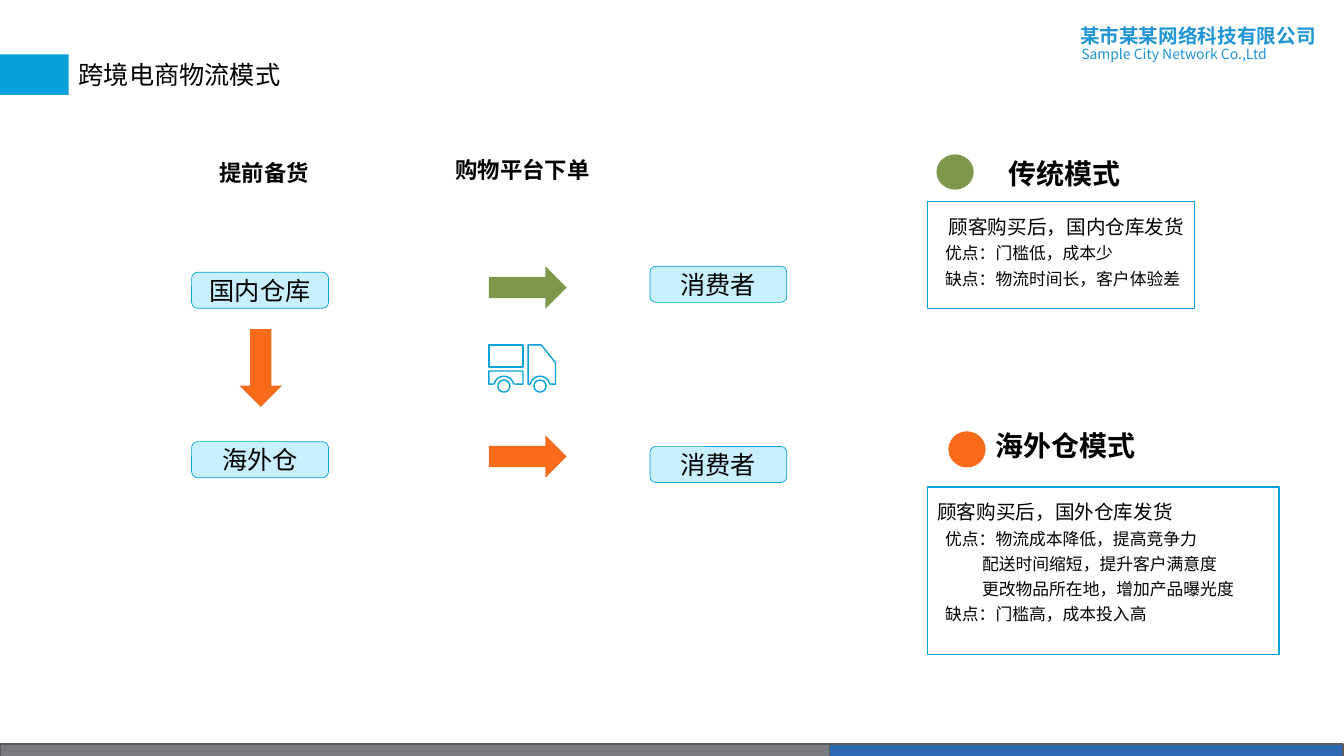
from dataclasses import dataclass
from math import cos, radians, sin

from lxml.etree import SubElement
from pptx import Presentation
from pptx.dml.color import RGBColor as RGB
from pptx.enum.shapes import MSO_SHAPE as SHAPE
from pptx.enum.text import MSO_ANCHOR as ANCHOR, MSO_AUTO_SIZE as AUTO, PP_ALIGN as ALIGN
from pptx.oxml.ns import qn
from pptx.util import Cm, Pt


@dataclass(frozen=True)
class Theme:
    accent: str = "08A1D9"
    node: str = "C8EFFD"
    green: str = "7C984A"
    orange: str = "F96A1B"
    brand: str = "1F95D4"
    grey: str = "797B7E"
    blue: str = "2D6AB3"
    edge: str = "5A5B5D"
    white: str = "FFFFFF"
    black: str = "000000"
    sans: str = "Arial"
    cjk: str = "Noto Sans CJK SC"
    heading: int = 20
    label: int = 18
    caption: int = 16
    lead: int = 14
    body: int = 12
    small: int = 10
    leading: float = 1.25


class SlideBuilder:
    def __init__(self, prs, theme):
        self.theme = theme
        self.slide = prs.slides.add_slide(prs.slide_layouts[3])
        self.title_box, *self.bodies = self.slide.placeholders

    def paint(self, sp, fill, line=None, width=1):
        sp.fill.solid()
        sp.fill.fore_color.rgb = RGB.from_string(fill)
        if line:
            sp.line.color.rgb = RGB.from_string(line)
            sp.line.width = Pt(width)
        else:
            sp.line.fill.background()

    def shape(self, kind, box, fill, line=None, width=1):
        sp = self.slide.shapes.add_shape(kind, *map(Cm, box))
        sp.shadow.inherit = False
        self.paint(sp, fill, line, width)
        return sp

    def place(self, sp, box):
        sp.left, sp.top, sp.width, sp.height = map(Cm, box)

    def frame(self, sp, anchor=ANCHOR.MIDDLE, wrap=True, top=0.13):
        tf = sp.text_frame
        tf.word_wrap = wrap
        tf.auto_size = AUTO.NONE
        tf.vertical_anchor = anchor
        tf.margin_left = tf.margin_right = Cm(0.25)
        tf.margin_top, tf.margin_bottom = Cm(top), Cm(0.13)
        return tf

    def run(self, p, text, size, font, color=None, bold=False, align=ALIGN.LEFT, leading=1.0):
        p.alignment = align
        p.line_spacing = leading
        p.space_before = p.space_after = Pt(0)
        r = p.add_run()
        r.text = text
        r.font.size = Pt(size)
        r.font.bold = bold
        r.font.color.rgb = RGB.from_string(color or self.theme.black)
        r.font.name = font
        SubElement(r.font._element, qn("a:ea")).set("typeface", font)

    def title(self, text, box):
        self.place(self.title_box, box)
        tf = self.frame(self.title_box, wrap=False)
        self.run(tf.paragraphs[0], text, self.theme.label, self.theme.sans, align=ALIGN.CENTER)

    def text(self, text, box, size, font, **style):
        sp = self.slide.shapes.add_textbox(*map(Cm, box))
        self.run(self.frame(sp).paragraphs[0], text, size, font, **style)

    def heading(self, text, box, align):
        sp = self.slide.shapes.add_textbox(*map(Cm, box))
        tf = self.frame(sp, ANCHOR.TOP, top=0.18)
        self.run(tf.paragraphs[0], text, self.theme.heading, self.theme.cjk,
                 bold=True, align=align, leading=self.theme.leading)

    def node(self, text, left, top):
        sp = self.shape(SHAPE.FLOWCHART_ALTERNATE_PROCESS, (left, top, 3.45, 0.91),
                        self.theme.node, self.theme.accent, 0.5)
        self.run(self.frame(sp).paragraphs[0], text, self.theme.label,
                 self.theme.sans, align=ALIGN.CENTER)

    def arrow(self, left, top, color, turn=0):
        sp = self.shape(SHAPE.RIGHT_ARROW, (left, top, 1.96, 1.07), color)
        sp.rotation = turn

    def panel(self, sp, box, lead, lead_align, lines):
        th = self.theme
        self.place(sp, box)
        self.paint(sp, th.white, th.accent)
        tf = self.frame(sp, ANCHOR.TOP, top=0.18)
        rows = [(lead, 0, th.lead, lead_align)]
        rows += [(text, indent, th.body, ALIGN.LEFT) for text, indent in lines]
        for i, (text, indent, size, align) in enumerate(rows):
            p = tf.add_paragraph() if i else tf.paragraphs[0]
            self.run(p, text, size, th.cjk, align=align, leading=th.leading)
            pPr = p._p.get_or_add_pPr()
            pPr.set("marL", str(Cm(indent)))
            pPr.set("indent", "0")
            SubElement(pPr, qn("a:buNone"))

    def outline(self, contours):
        fb = None
        for contour in contours:
            start, *rest = [(Cm(x), Cm(y)) for x, y in contour]
            if fb is None:
                fb = self.slide.shapes.build_freeform(*start)
            else:
                fb.move_to(*start)
            fb.add_line_segments(rest, close=True)
        sp = fb.convert_to_shape()
        sp.shadow.inherit = False
        self.paint(sp, self.theme.white, self.theme.accent)


def arc(x, y, radius, start, end, step):
    return [(x + radius * cos(radians(a)), y - radius * sin(radians(a)))
            for a in range(start, end + 1, step)]


def truck():
    left, gap, cab, nose = 12.32, 13.18, 13.31, 14.0
    top, floor, axle = 8.69, 9.68, 9.73
    rear, front = 12.7, 13.61
    wheels = [arc(x, axle, 0.15, 0, 345, 15) for x in (rear, front)]
    rear_arch, front_arch = [arc(x, axle, 0.25, 12, 168, 12) for x in (rear, front)]
    return wheels + [
        [(left, 9.35), (gap, 9.35), (gap, floor), *rear_arch, (left, floor)],
        [(cab, top), (13.64, top), (nose, 9.14), (nose, floor), *front_arch, (cab, floor)],
        [(left, top), (gap, top), (gap, 9.25), (left, 9.25)],
    ]


def main():
    prs = Presentation()
    prs.slide_width, prs.slide_height = Cm(33.87), Cm(19.05)
    th = Theme()
    s = SlideBuilder(prs, th)

    s.shape(SHAPE.RECTANGLE, (0, 18.75, 20.9, 0.36), th.grey, th.edge)
    s.shape(SHAPE.RECTANGLE, (20.9, 18.75, 12.95, 0.36), th.blue, th.edge)
    s.text("某市某某网络科技有限公司", (26.97, 0.46, 6.78, 0.86),
           th.lead, th.cjk, color=th.brand, bold=True)
    s.text("Sample City Network Co.,Ltd", (27, 1.02, 6.76, 0.69),
           th.small, th.cjk, color=th.brand)
    s.shape(SHAPE.RECTANGLE, (0, 1.37, 1.73, 1.02), th.accent)
    s.title("跨境电商物流模式", (1.73, 1.37, 5.59, 1.02))

    traditional, overseas = s.bodies
    s.panel(traditional, (23.37, 5.08, 6.73, 2.69), "顾客购买后，国内仓库发货", ALIGN.RIGHT,
            [("优点：门槛低，成本少", 0.2), ("缺点：物流时间长，客户体验差", 0.2)])
    s.panel(overseas, (23.37, 12.27, 8.86, 4.22), "顾客购买后，国外仓库发货", ALIGN.LEFT,
            [("优点：物流成本降低，提高竞争力", 0.2),
             ("配送时间缩短，提升客户满意度", 1.13),
             ("更改物品所在地，增加产品曝光度", 1.13),
             ("缺点：门槛高，成本投入高", 0.2)])
    s.heading("传统模式", (21.49, 3.56, 7.01, 1.52), ALIGN.RIGHT)
    s.heading("海外仓模式", (24.84, 10.41, 5.41, 1.52), ALIGN.LEFT)
    s.shape(SHAPE.OVAL, (23.6, 3.89, 0.94, 0.89), th.green)
    s.shape(SHAPE.OVAL, (23.9, 10.87, 0.94, 0.91), th.orange)

    for text, left, top in [("消费者", 16.38, 11.25), ("消费者", 16.38, 6.71),
                            ("国内仓库", 4.83, 6.86), ("海外仓", 4.83, 11.13)]:
        s.node(text, left, top)
    for text, box in [("提前备货", (5.28, 3.89, 3.05, 0.94)),
                      ("购物平台下单", (11.23, 3.81, 4.47, 0.94))]:
        s.text(text, box, th.caption, th.sans, bold=True)
    s.arrow(5.59, 8.74, th.orange, 90)
    s.arrow(12.32, 10.97, th.orange)
    s.arrow(12.32, 6.71, th.green)
    s.outline(truck())

    prs.save("out.pptx")


if __name__ == "__main__":
    main()
